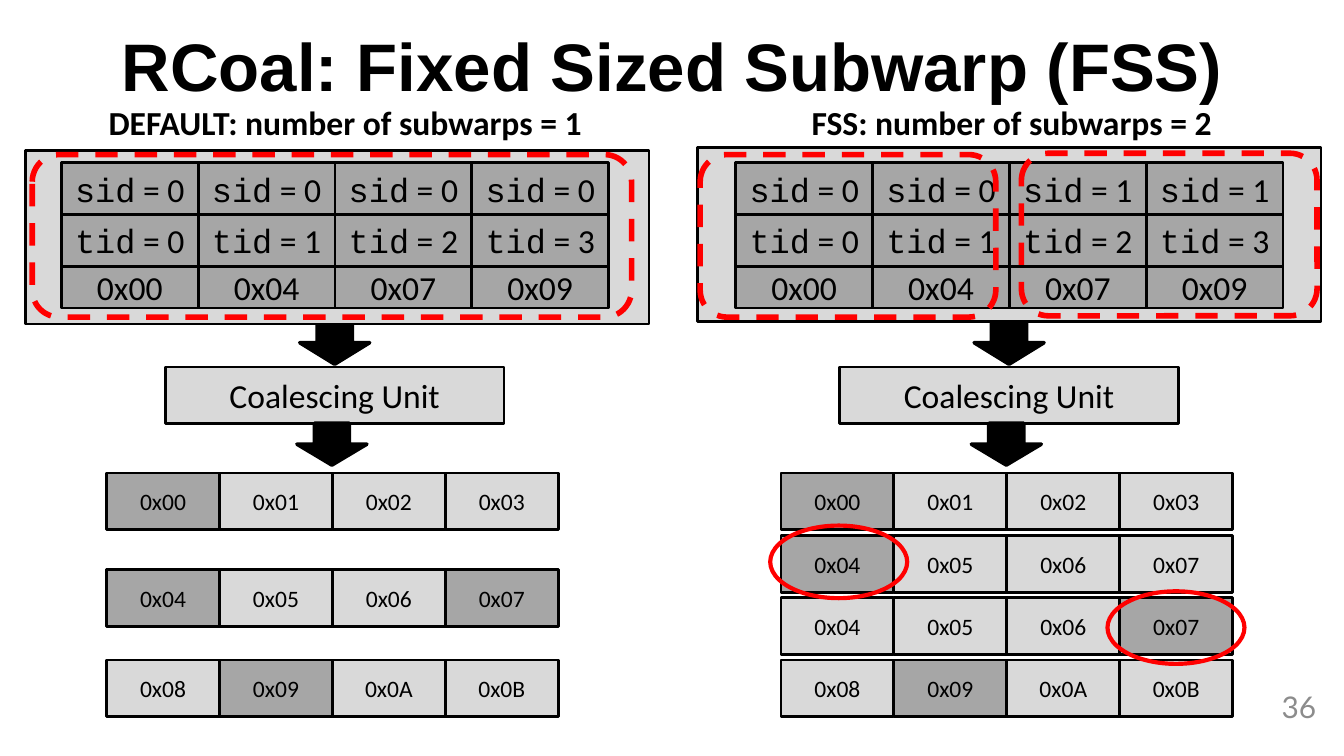
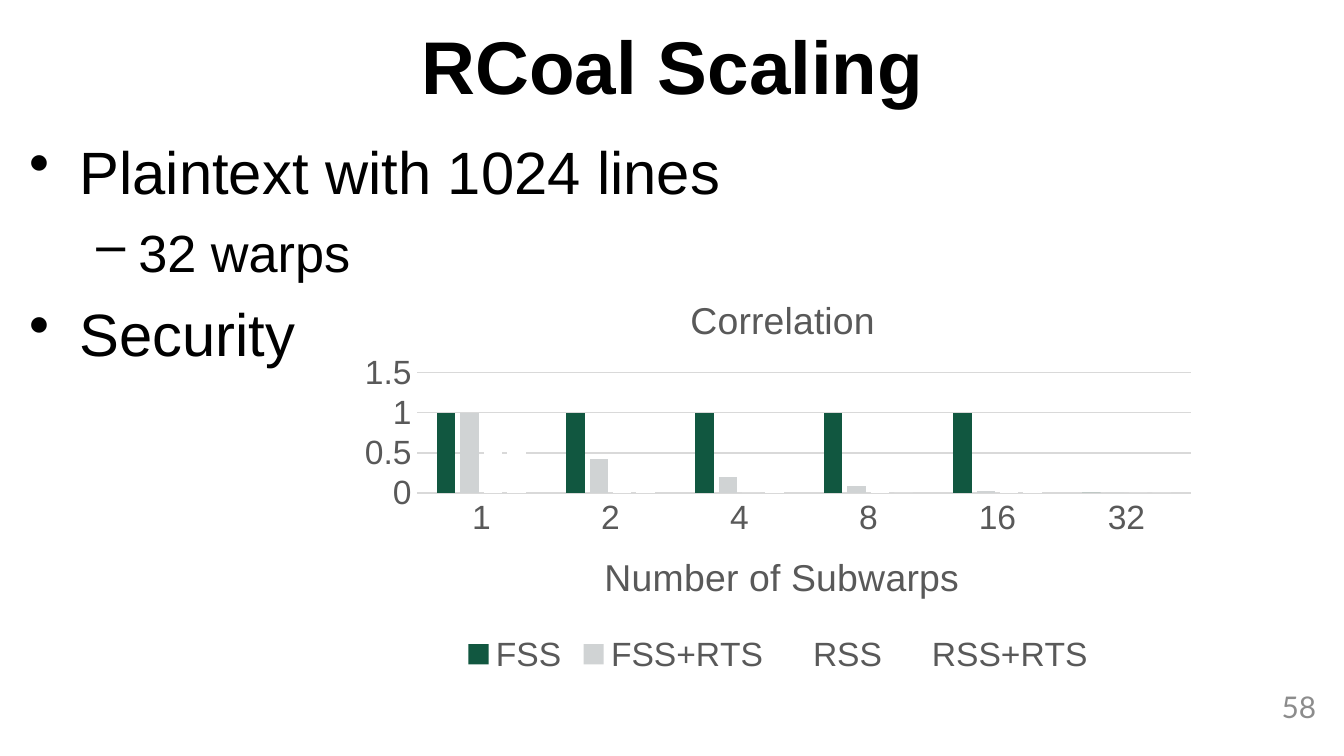
from dataclasses import dataclass
from typing import NamedTuple, Optional

from lxml import etree
from pptx import Presentation
from pptx import util as u
from pptx.chart import data as chart_data
from pptx.dml import color
from pptx.enum import chart as charts, dml, shapes, text
from pptx.oxml import ns

Pt = u.Pt


@dataclass(frozen=True)
class Theme:
    black: str = "000000"
    light: str = "D9D9D9"
    dark: str = "A6A6A6"
    red: str = "FF0000"
    muted: str = "8C8C8C"
    axis: str = "595959"
    heading: str = "Arial"
    label: str = "Calibri"
    code: str = "Courier New"
    number: str = "Lato"
    small: float = 12.6
    tick: float = 18
    normal: float = 18
    chart_title: float = 20
    page_number: float = 16


THEME = Theme()


class Area(NamedTuple):
    left: float
    top: float
    width: float
    height: float

    def points(self) -> list:
        return [Pt(value) for value in self]


class Span(NamedTuple):
    words: str
    font: str = THEME.label
    size: float = THEME.normal
    bold: bool = False
    color: str = THEME.black


class Style(NamedTuple):
    kind: shapes.MSO_SHAPE = shapes.MSO_SHAPE.RECTANGLE
    fill: Optional[str] = None
    line: str = THEME.black
    weight: float = 1.5
    dashed: bool = False


class Bullet(NamedTuple):
    words: str
    size: float
    level: int = 0


@dataclass(frozen=True)
class MemoryRow:
    top: float
    first: int
    requested: tuple


@dataclass(frozen=True)
class Panel:
    """One half of the subwarp comparison; x is its shift from the left half."""
    x: float
    caption: str
    caption_area: Area
    frame: Area
    sids: tuple
    rows: list
    subwarps: list
    circles: list


LIGHT = Style(fill=THEME.light)
DARK = Style(fill=THEME.dark)
ARROW = Style(shapes.MSO_SHAPE.DOWN_ARROW, THEME.black, weight=2)
SUBWARP = Style(shapes.MSO_SHAPE.ROUNDED_RECTANGLE, None, THEME.red, 3, True)
CIRCLE = Style(shapes.MSO_SHAPE.OVAL, None, THEME.red, 2.25)

TITLE = Area(8.6, 0.7, 703.4, 67.7)
PAGE_NUMBER = Area(544.3, 367.9, 167.8, 21.6)
BULLETS = Area(8.6, 68.4, 703.4, 293.8)
CHART = Area(186.5, 141.8, 460.8, 222.5)

# Marker, left margin and hanging indent of each bullet level
LEVELS = [("•", 27, -27), ("–", 58.5, -22.5)]

# Thread grid and memory blocks, measured in the left half
THREAD_LEFT, THREAD_WIDTH = 32.9, 73.3
ADDRESSES = ("0x00", "0x04", "0x07", "0x09")
BLOCK_LEFT, BLOCK_WIDTH, BLOCK_HEIGHT = 57.1, 60.5, 30.5
FIRST_ROW, ROW_PITCH = 253.4, 33.4

PANELS = [
    Panel(0, "DEFAULT: number of subwarps = 1", Area(51.1, 51.1, 270.7, 28.8),
          Area(13.6, 80.6, 334.1, 93), (0, 0, 0, 0),
          [MemoryRow(FIRST_ROW, 0, (0,)),
           MemoryRow(305.3, 4, (4, 7)),
           MemoryRow(FIRST_ROW + 3 * ROW_PITCH, 8, (9,))],
          [Area(17.3, 82.8, 321.1, 87.1)], []),
    Panel(361.3, "FSS: number of subwarps = 2", Area(427.7, 51.1, 231.1, 28.8),
          Area(373.7, 79.2, 334.1, 93), (0, 0, 1, 1),
          [MemoryRow(FIRST_ROW + index * ROW_PITCH, first, requested)
           for index, (first, requested)
           in enumerate([(0, (0,)), (4, (4,)), (4, (7,)), (8, (9,))])],
          [Area(547.2, 82.1, 158.4, 87.1), Area(375.1, 82.8, 158.4, 87.1)],
          [Area(412.6, 281.6, 73.4, 38.9), Area(593.3, 316.8, 73.4, 38.9)]),
]

CATEGORIES = ["1", "2", "4", "8", "16", "32"]
SERIES = [
    ("FSS", (1, 1, 1, 1, 1, 0), "115740"),
    ("FSS+RTS", (1, 0.42, 0.2, 0.09, 0.02, 0), "D0D3D4"),
    ("RSS", (1, 0.03, 0, 0.02, 0.03, 0), "FFFFFF"),
    ("RSS+RTS", (1, 0.01, 0.01, 0, 0.01, 0), "FFFFFF"),
]


# Shared drawing functions
def apply(target, values: dict) -> None:
    for name, value in values.items():
        setattr(target, name, value)


def rgb(value: str) -> color.RGBColor:
    return color.RGBColor.from_string(value)


def format_font(font, name: str, size: float, tint: str, bold: bool = False) -> None:
    apply(font, {"name": name, "size": Pt(size), "bold": bold})
    font.color.rgb = rgb(tint)


def add_spans(para, spans: list, align=text.PP_ALIGN.CENTER) -> None:
    para.alignment = align
    for span in spans:
        run = para.add_run()
        run.text = span.words
        format_font(run.font, span.font, span.size, span.color, span.bold)


def add_box(page, area: Area, spans: list, align=text.PP_ALIGN.CENTER,
            anchor=text.MSO_ANCHOR.MIDDLE, wrap: bool = True) -> None:
    frame = page.shapes.add_textbox(*area.points()).text_frame
    apply(frame, {"word_wrap": wrap, "vertical_anchor": anchor})
    add_spans(frame.paragraphs[0], spans, align)


def add_figure(page, area: Area, style: Style, spans: Optional[list] = None) -> None:
    shape = page.shapes.add_shape(style.kind, *area.points())
    shape.shadow.inherit = False
    if style.fill:
        shape.fill.solid()
        shape.fill.fore_color.rgb = rgb(style.fill)
    else:
        shape.fill.background()
    shape.line.color.rgb = rgb(style.line)
    shape.line.width = Pt(style.weight)
    if style.dashed:
        shape.line.dash_style = dml.MSO_LINE.DASH
    if spans:
        apply(shape.text_frame, {
            "margin_left": Pt(2), "margin_right": Pt(2),
            "margin_top": Pt(1), "margin_bottom": Pt(1),
            "word_wrap": True, "vertical_anchor": text.MSO_ANCHOR.MIDDLE})
        add_spans(shape.text_frame.paragraphs[0], spans)


def add_page(deck, title: str, size: float, number: int):
    page = deck.slides.add_slide(deck.slide_layouts[6])
    add_box(page, TITLE, [Span(title, THEME.heading, size, True)])
    add_box(page, PAGE_NUMBER,
            [Span(str(number), THEME.number, THEME.page_number, color=THEME.muted)],
            text.PP_ALIGN.RIGHT)
    return page


# Subwarp comparison
def add_threads(page, panel: Panel) -> None:
    for column, (sid, address) in enumerate(zip(panel.sids, ADDRESSES)):
        left = panel.x + THREAD_LEFT + column * THREAD_WIDTH
        cells = [
            (87.1, 27.8, [Span("sid", THEME.code), Span(f" = {sid}")]),
            (114.9, 27.8, [Span("tid", THEME.code), Span(f" = {column}")]),
            (142.7, 22.3, [Span(address)]),
        ]
        for top, height, spans in cells:
            add_figure(page, Area(left, top, THREAD_WIDTH, height), DARK, spans)


def add_memory_row(page, x: float, row: MemoryRow) -> None:
    for column in range(4):
        address = row.first + column
        area = Area(x + BLOCK_LEFT + column * BLOCK_WIDTH, row.top,
                    BLOCK_WIDTH, BLOCK_HEIGHT)
        add_figure(page, area, DARK if address in row.requested else LIGHT,
                   [Span(f"0x{address:02X}", size=THEME.small)])


def add_panel(page, panel: Panel) -> None:
    add_box(page, panel.caption_area, [Span(panel.caption, bold=True)],
            text.PP_ALIGN.LEFT, text.MSO_ANCHOR.TOP, wrap=False)
    add_figure(page, Area(panel.x + 160.6, 172.1, 37.4, 23), ARROW)
    add_figure(page, panel.frame, LIGHT)
    add_threads(page, panel)
    add_figure(page, Area(panel.x + 88.6, 196.6, 181.4, 30.2), LIGHT,
               [Span("Coalescing Unit")])
    add_figure(page, Area(panel.x + 159.1, 226.8, 37.4, 22.3), ARROW)
    for row in panel.rows:
        add_memory_row(page, panel.x, row)
    for style, areas in ((CIRCLE, panel.circles), (SUBWARP, panel.subwarps)):
        for area in areas:
            add_figure(page, area, style)


# Scaling results
def add_bullets(page, bullets: list) -> None:
    frame = page.shapes.add_textbox(*BULLETS.points()).text_frame
    frame.word_wrap = True
    for index, bullet in enumerate(bullets):
        para = frame.add_paragraph() if index else frame.paragraphs[0]
        marker, margin, indent = LEVELS[bullet.level]
        props = para._p.get_or_add_pPr()
        props.set("marL", str(Pt(margin)))
        props.set("indent", str(Pt(indent)))
        etree.SubElement(props, ns.qn("a:buChar")).set("char", marker)
        para.level = bullet.level
        if index:
            para.space_before = Pt(7.5)
        add_spans(para, [Span(bullet.words, THEME.heading, bullet.size)],
                  text.PP_ALIGN.LEFT)


def place(element, inner: bool = False, **fractions: float) -> None:
    """Fix a chart part at fractions of the chart's width and height."""
    for old in element.findall(ns.qn("c:layout")):
        element.remove(old)
    layout = etree.Element(ns.qn("c:layout"))
    manual = etree.SubElement(layout, ns.qn("c:manualLayout"))
    settings = {"layoutTarget": "inner"} if inner else {}
    settings.update({"xMode": "edge", "yMode": "edge"}, **fractions)
    for name, value in settings.items():
        etree.SubElement(manual, ns.qn(f"c:{name}")).set("val", str(value))
    element.insert(0 if element.find(ns.qn("c:tx")) is None else 1, layout)


def add_chart_title(title, words: str, x: float, y: float) -> None:
    add_spans(title.text_frame.paragraphs[0],
              [Span(words, THEME.heading, THEME.chart_title, color=THEME.axis)])
    place(title.element, x=x, y=y)


def add_correlation_chart(page) -> None:
    data = chart_data.CategoryChartData()
    data.categories = CATEGORIES
    for name, values, _ in SERIES:
        data.add_series(name, values)
    chart = page.shapes.add_chart(charts.XL_CHART_TYPE.COLUMN_CLUSTERED,
                                  *CHART.points(), data).chart
    format_font(chart.font, THEME.heading, THEME.tick, THEME.axis)
    apply(chart, {"has_title": True, "has_legend": True})
    apply(chart.legend, {"position": charts.XL_LEGEND_POSITION.BOTTOM,
                         "include_in_layout": False})
    format_font(chart.legend.font, THEME.heading, THEME.tick, THEME.axis)
    plot = chart.plots[0]
    apply(plot, {"gap_width": 219, "overlap": -27, "vary_by_categories": False})
    for series, (_, _, tint) in zip(plot.series, SERIES):
        series.invert_if_negative = False
        series.format.fill.solid()
        series.format.fill.fore_color.rgb = rgb(tint)

    category, value = chart.category_axis, chart.value_axis
    for axis in (category, value):
        apply(axis, {"major_tick_mark": charts.XL_TICK_MARK.NONE,
                     "minor_tick_mark": charts.XL_TICK_MARK.NONE})
        format_font(axis.tick_labels.font, THEME.heading, THEME.tick, THEME.axis)
    apply(value, {"minimum_scale": 0, "maximum_scale": 1.5, "major_unit": 0.5,
                  "has_major_gridlines": True})
    value.format.line.fill.background()
    for line in (category.format.line, value.major_gridlines.format.line):
        line.color.rgb = rgb(THEME.light)
        line.width = Pt(0.75)

    add_chart_title(chart.chart_title, "Correlation", 0.39, 0.06)
    add_chart_title(category.axis_title, "Number of Subwarps", 0.29, 0.68)
    place(chart.element.find(".//" + ns.qn("c:plotArea")), inner=True,
          x=0.08, y=0.26, w=0.9, h=0.29)


def main() -> None:
    deck = Presentation()
    apply(deck, {"slide_width": Pt(720), "slide_height": Pt(405)})

    page = add_page(deck, "RCoal: Fixed Sized Subwarp (FSS)", 36, 36)
    for panel in PANELS:
        add_panel(page, panel)

    page = add_page(deck, "RCoal Scaling", 40, 58)
    add_bullets(page, [Bullet("Plaintext with 1024 lines", 32),
                       Bullet("32 warps", 28, 1),
                       Bullet("Security", 32)])
    add_correlation_chart(page)
    deck.save("out.pptx")


if __name__ == "__main__":
    main()
